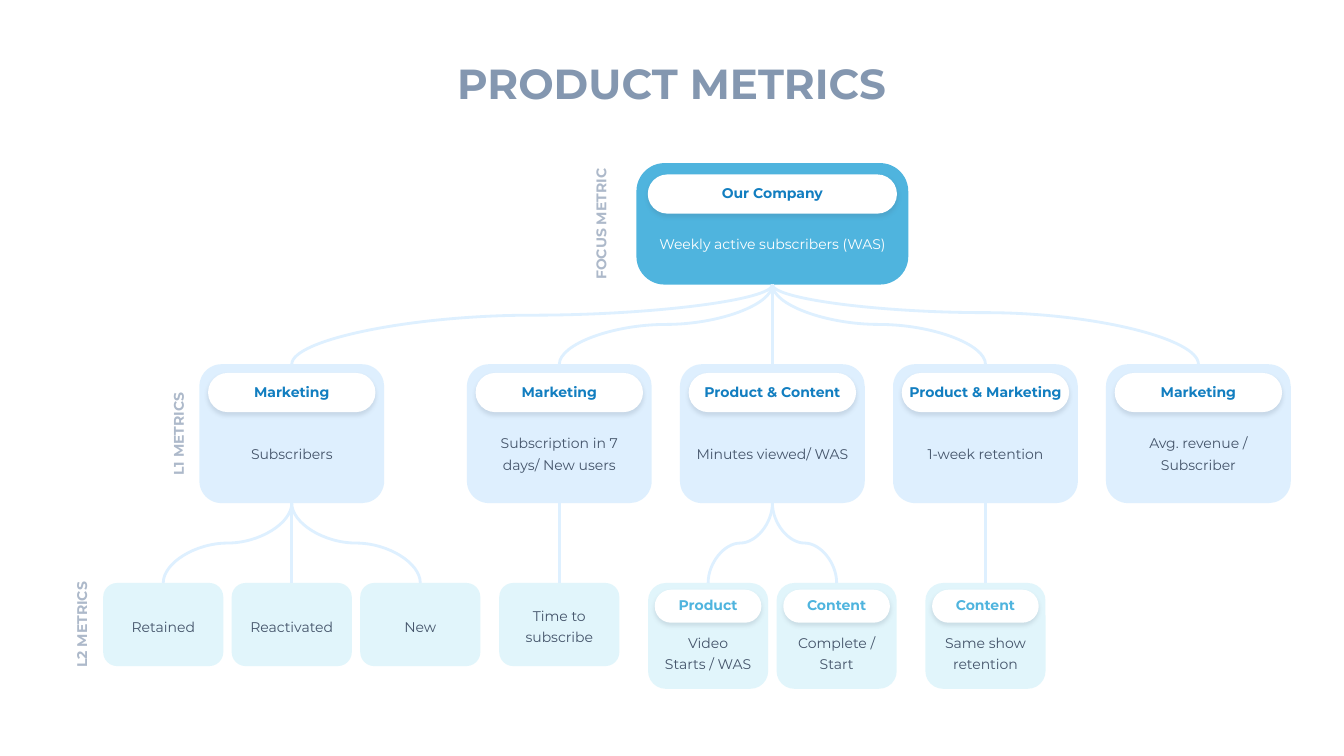
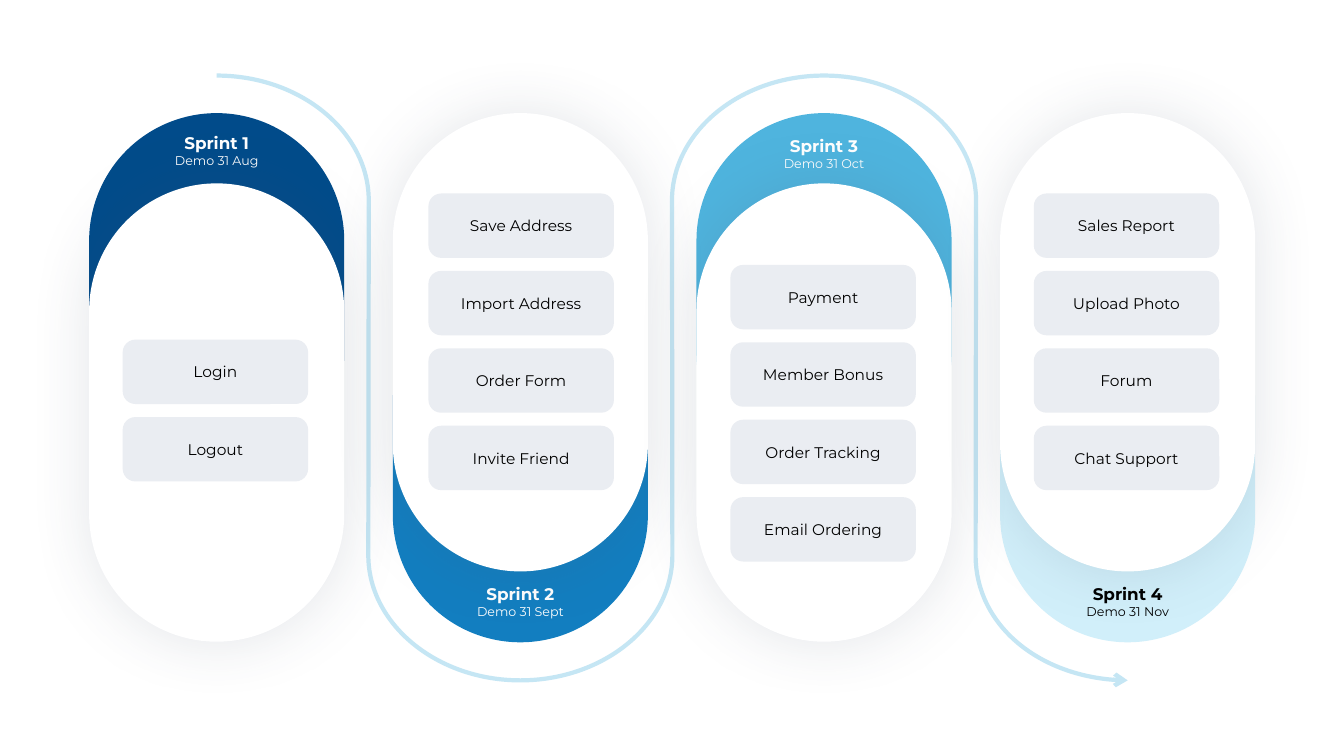
from pptx import Presentation
from pptx.dml.color import RGBColor
from pptx.enum import shapes as kinds, text as txt
from pptx.oxml import ns, xmlchemy
from pptx.util import Pt

# Shared look
FONT = "Montserrat"
WHITE, BLACK, SLATE = "FFFFFF", "000000", "44546A"
TITLE, LABEL, LINK = "8497B0", "ADB9CA", "DEF0FF"
NAVY, BLUE, SKY, PALE, GREY = "014B8A", "127EC0", "4FB4DE", "D1EFFA", "EAEDF2"

# Levels of the metric tree
ROOT = dict(y=116.5, w=194.2, h=86.8, pad=8.1, pill=28, round=0.232, fill=SKY,
            alpha=100, ink=WHITE, head=BLUE, lead=16, top=28.4)
L1 = dict(y=260.2, w=132, h=99.2, pad=6.2, pill=28, round=0.159, fill="2299FD",
          alpha=15, ink=SLATE, head=BLUE, lead=16, top=28.8)
L2 = dict(y=416.4, w=85.8, h=59.4, pad=4.8, pill=23.6, round=0.167,
          fill="9DE1F4", alpha=30, ink=SLATE, head=SKY, lead=15, top=25.6)
TALL = dict(L2, h=75.6)
STEP = 91.8  # distance between sibling cards on the lowest level

# Centre, owner, metric, bend of the link, children (owner, metric)
TREE = [
    (208.4, "Marketing", "Subscribers", 0.384,
     [("", "Retained"), ("", "Reactivated"), ("", "New")]),
    (399.5, "Marketing", "Subscription in 7 days/ New users", 0.5,
     [("", "Time to subscribe")]),
    (551.7, "Product & Content", "Minutes viewed/ WAS", 0.5,
     [("Product", "Video Starts / WAS"), ("Content", "Complete / Start")]),
    (703.9, "Product & Marketing", "1-week retention", 0.5,
     [("Content", "Same show retention")]),
    (856, "Marketing", "Avg. revenue / Subscriber", 0.352, []),
]

# Name, demo, cap colour, text colour, label top, centre and top of tasks, tasks
SPRINTS = [
    ("Sprint 1", "Demo 31 Aug", NAVY, WHITE, 91.4, 153.9, 242.6,
     ["Login", "Logout"]),
    ("Sprint 2", "Demo 31 Sept", BLUE, WHITE, 413.3, 372.3, 138.2,
     ["Save Address", "Import Address", "Order Form", "Invite Friend"]),
    ("Sprint 3", "Demo 31 Oct", SKY, WHITE, 93, 588, 189.2,
     ["Payment", "Member Bonus", "Order Tracking", "Email Ordering"]),
    ("Sprint 4", "Demo 31 Nov", PALE, BLACK, 413.3, 804.7, 138.2,
     ["Sales Report", "Upload Photo", "Forum", "Chat Support"]),
]
MIDS = [154.8 + 216.9 * i for i in range(len(SPRINTS))]


def rgb(code):
    return RGBColor.from_string(code)


def node(parent, tag, **attrs):
    child = xmlchemy.OxmlElement(tag)
    for key, value in attrs.items():
        child.set(key, str(value))
    parent.append(child)
    return child


def fade(shape, alpha):
    node(shape._element.spPr.xpath(".//a:srgbClr")[0], "a:alpha",
         val=alpha * 1000)


def write(frame, text, size=10, color=SLATE, bold=False, lead=None,
          inset=(7.2, 3.6, 7.2, 3.6), wrap=True, more=False):
    """Put text in a frame; more=True adds it as a further paragraph."""
    par = frame.add_paragraph() if more else frame.paragraphs[0]
    par.alignment = txt.PP_ALIGN.CENTER
    if lead:
        par.line_spacing = Pt(lead)
    run = par.add_run()
    run.text = text
    run.font.name, run.font.size, run.font.bold = FONT, Pt(size), bold
    run.font.color.rgb = rgb(color)
    frame.word_wrap = wrap
    frame.vertical_anchor = txt.MSO_ANCHOR.MIDDLE
    (frame.margin_left, frame.margin_top,
     frame.margin_right, frame.margin_bottom) = map(Pt, inset)


def block(slide, mid, y, w, h, fill, round=0.5, alpha=100, shade=None):
    """Rounded box centred on mid; shade is (alpha, blur, distance)."""
    box = slide.shapes.add_shape(kinds.MSO_SHAPE.ROUNDED_RECTANGLE,
                                 Pt(mid - w / 2), Pt(y), Pt(w), Pt(h))
    box.adjustments[0] = round
    box.fill.solid()
    box.fill.fore_color.rgb = rgb(fill)
    box.line.fill.background()
    box.shadow.inherit = False
    if alpha < 100:
        fade(box, alpha)
    if shade:
        dark, blur, dist = shade
        glow = node(box._element.spPr.find(ns.qn("a:effectLst")),
                    "a:outerShdw", blurRad=Pt(blur), dist=Pt(dist),
                    dir=90 * 60000, algn="ctr", rotWithShape=0)
        node(node(glow, "a:srgbClr", val=SLATE), "a:alpha", val=dark * 1000)
    return box


def label(slide, mid, y, w, h, text, turn=0, **look):
    box = slide.shapes.add_textbox(Pt(mid - w / 2), Pt(y), Pt(w), Pt(h))
    box.rotation = turn
    write(box.text_frame, text, bold=True, wrap=False, **look)
    return box


def card(slide, mid, owner, metric, level):
    """Metric box, with its owner in a white pill when it has one."""
    box = block(slide, mid, level["y"], level["w"], level["h"], level["fill"],
                level["round"], level["alpha"])
    top = level["top"] if owner else 3.6
    write(box.text_frame, metric, color=level["ink"], lead=level["lead"],
          inset=(7.2, top, 7.2, 3.6))
    if owner:
        pad = level["pad"]
        pill = block(slide, mid, level["y"] + pad, level["w"] - 2 * pad,
                     level["pill"], WHITE, shade=(15, 3, 2))
        write(pill.text_frame, owner, color=level["head"], bold=True,
              inset=(0, 0, 0, 1.4))
    return box


def link(slide, upper, lower, bend=0.5):
    """Join bottom of upper to top of lower, curved unless aligned."""
    x1, y1 = upper.left + upper.width // 2, upper.top + upper.height
    x2, y2 = lower.left + lower.width // 2, lower.top
    wide, high = abs(x2 - x1), y2 - y1
    bent = wide > Pt(2)
    kind = kinds.MSO_CONNECTOR.CURVE if bent else kinds.MSO_CONNECTOR.STRAIGHT
    line = slide.shapes.add_connector(kind, x1, y1, x2, y2)
    line.begin_connect(upper, 2)
    line.end_connect(lower, 0)
    line.line.color.rgb = rgb(LINK)
    line.line.width = Pt(2)
    props = line._element.spPr
    node(props, "a:effectLst")
    if bent:
        # A quarter turn makes the curve leave and arrive vertically
        line.left = (x1 + x2 - high) // 2
        line.top = (y1 + y2 - wide) // 2
        line.width, line.height = high, wide
        frame = props.get_or_add_xfrm()
        frame.set("rot", str((270 if x2 > x1 else 90) * 60000))
        frame.set("flipH", str(int(x2 > x1)))
        node(props.find(".//" + ns.qn("a:avLst")), "a:gd", name="adj1",
             fmla=f"val {round(bend * 100000)}")


def trail(slide):
    """Winding arrow: arches over odd sprints and under even ones."""
    rx, k, last = 108.6, 0.55, len(MIDS) - 1
    steps = []  # one point for a line, three for a curve
    for i, mid in enumerate(MIDS):
        base, tip = (396.7, 486) if i % 2 else (143.3, 54)
        bow = base + k * (tip - base)
        if i > 0:
            steps.append([(mid - rx, base)])
            steps.append([(mid - rx, bow), (mid - k * rx, tip), (mid, tip)])
        if i < last:
            steps.append([(mid + k * rx, tip), (mid + rx, bow),
                          (mid + rx, base)])
    pen = slide.shapes.build_freeform(Pt(MIDS[0]), Pt(54), scale=1.0)
    pen.add_line_segments([(Pt(x), Pt(y)) for step in steps for x, y in step],
                          close=False)
    arrow = pen.convert_to_shape()

    # Merge each run of three points into one curve
    legs = iter(arrow._element.spPr.xpath(".//a:lnTo"))
    for step in steps:
        group = [next(legs) for _ in step]
        if len(group) == 3:
            curve = xmlchemy.OxmlElement("a:cubicBezTo")
            group[0].addprevious(curve)
            for leg in group:
                curve.append(leg[0])
                leg.getparent().remove(leg)

    arrow.fill.background()
    arrow.shadow.inherit = False
    arrow.line.color.rgb = rgb(SKY)
    arrow.line.width = Pt(3)
    fade(arrow, 33)
    edge = arrow._element.spPr.find(ns.qn("a:ln"))
    node(edge, "a:round")
    node(edge, "a:tailEnd", type="arrow")


def metrics(deck):
    slide = deck.slides.add_slide(deck.slide_layouts[5])
    title = slide.shapes.title
    title.left, title.top, title.width, title.height = map(
        Pt, (310.3, 33.4, 339, 51))
    write(title.text_frame, "PRODUCT METRICS", size=30, color=TITLE, bold=True,
          wrap=False, inset=(14.4, 7.2, 14.4, 7.2))
    title.text_frame.auto_size = txt.MSO_AUTO_SIZE.NONE

    # Tree
    root = card(slide, 551.7, "Our Company", "Weekly active subscribers (WAS)",
                ROOT)
    for mid, owner, metric, bend, kids in TREE:
        parent = card(slide, mid, owner, metric, L1)
        link(slide, root, parent, bend)
        for i, (who, what) in enumerate(kids):
            spot = mid + (i - (len(kids) - 1) / 2) * STEP
            child = card(slide, spot, who, what, TALL if who else L2)
            link(slide, parent, child)

    # Level names
    for mid, level, name in ((429.1, ROOT, "FOCUS METRIC"),
                             (127.4, L1, "L1 METRICS"),
                             (58.3, L2, "L2 METRICS")):
        label(slide, mid, level["y"] + level["h"] / 2 - 9.5, 95, 19.4, name,
              turn=270, color=LABEL)


def sprints(deck):
    slide = deck.slides.add_slide(deck.slide_layouts[6])

    # Coloured caps, at the top and bottom by turns
    for i, sprint in enumerate(SPRINTS):
        block(slide, MIDS[i], 196 if i % 2 else 80.8, 182.2, 262.8, sprint[2])
    trail(slide)

    # Cap labels
    for mid, (name, demo, _, ink, y, *_) in zip(MIDS, SPRINTS):
        box = label(slide, mid, y, 77, 32.4, name, size=12, color=ink)
        write(box.text_frame, demo, size=9, color=ink, wrap=False, more=True)

    # White cards and their tasks
    for i, mid in enumerate(MIDS):
        block(slide, mid, 80.8 if i % 2 else 131, 182.2, 327.4, WHITE,
              shade=(15, 45, 0))
    for *_, mid, top, tasks in SPRINTS:
        for row, task in enumerate(tasks):
            box = block(slide, mid, top + row * 55.3, 132.5, 46, GREY, 0.198)
            write(box.text_frame, task, size=11, color=BLACK)


def main():
    deck = Presentation()
    deck.slide_width, deck.slide_height = Pt(960), Pt(540)
    metrics(deck)
    sprints(deck)
    deck.save("out.pptx")


if __name__ == "__main__":
    main()
